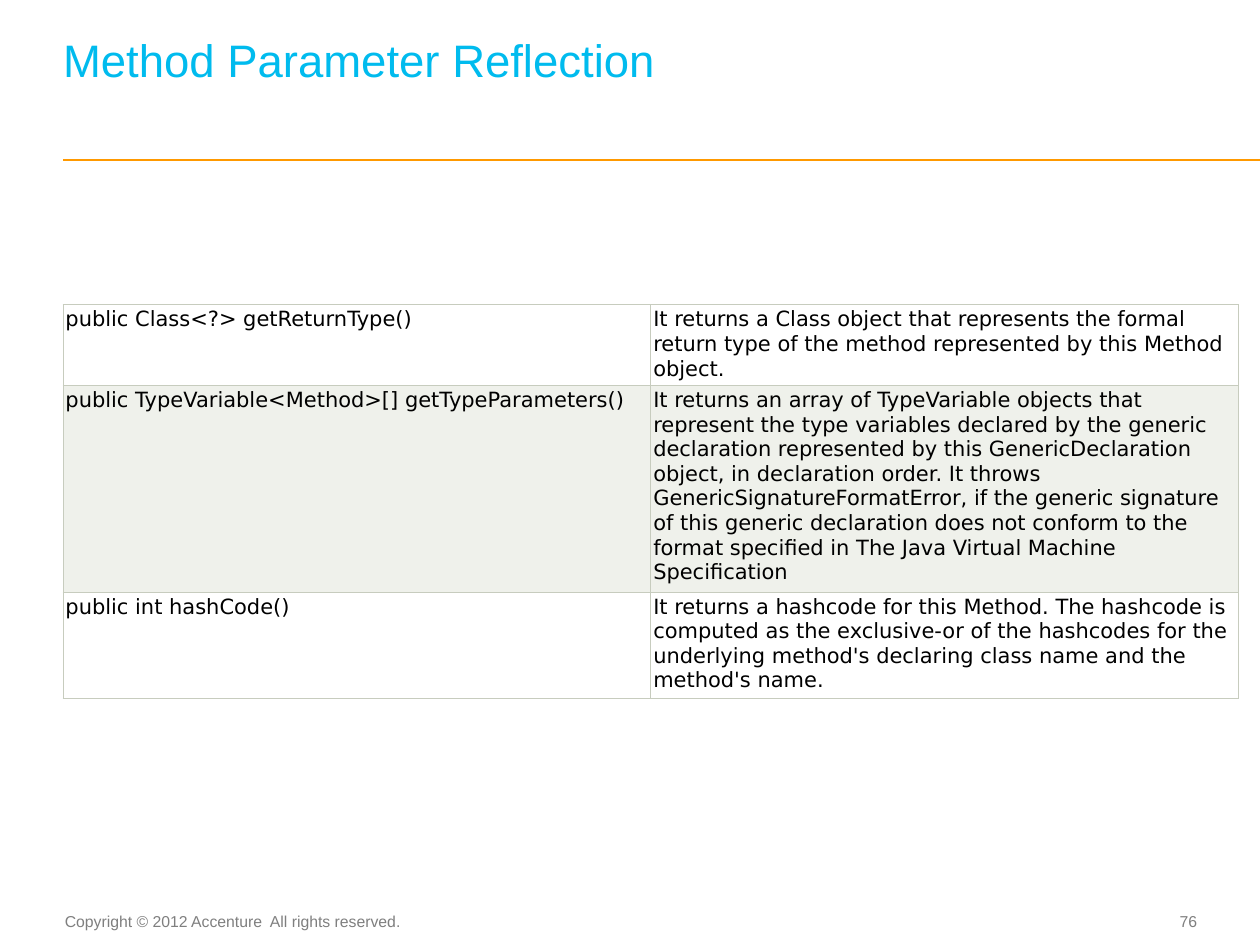
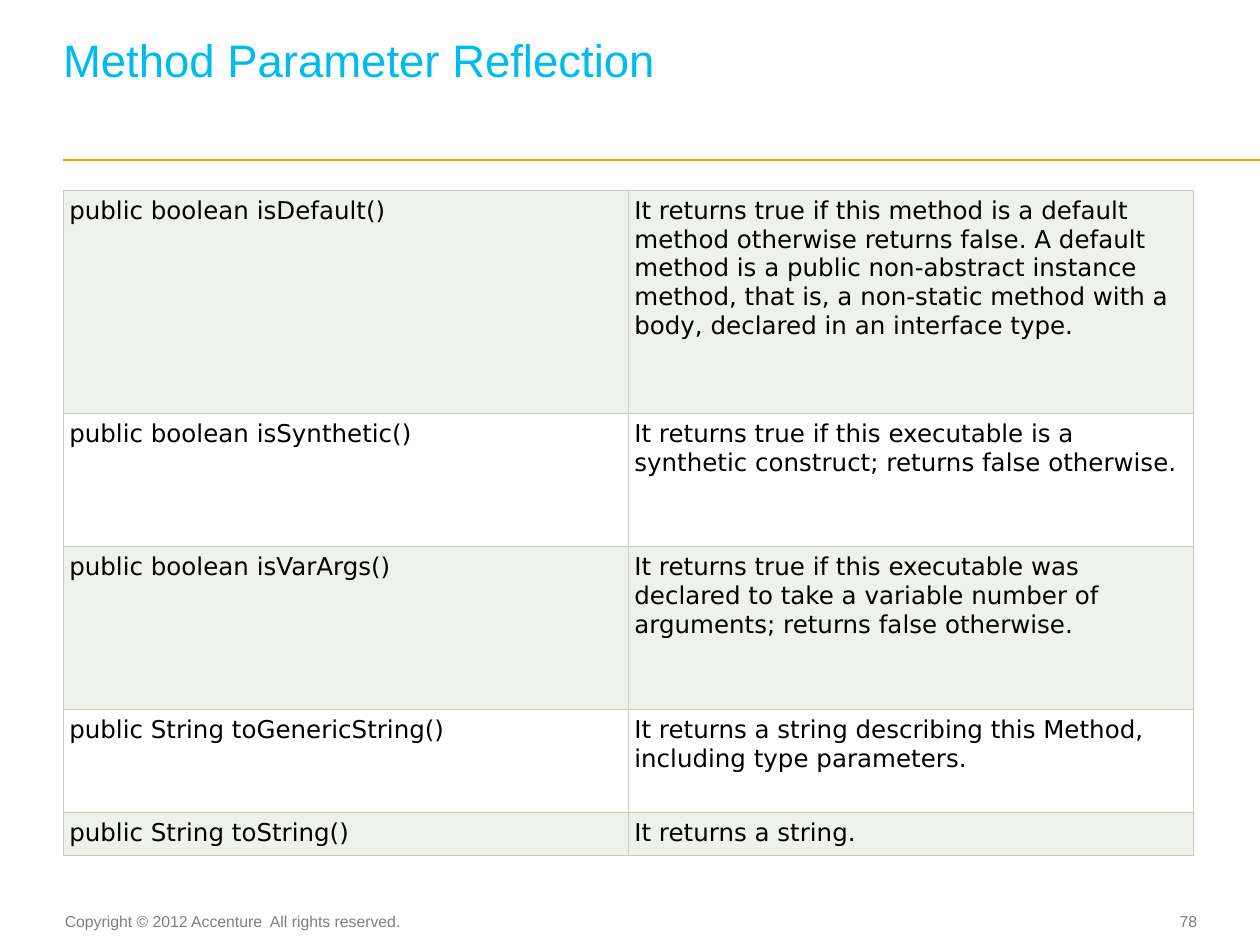
from dataclasses import dataclass
from typing import NamedTuple

from lxml.etree import SubElement
from pptx import Presentation
from pptx.dml.color import RGBColor
from pptx.enum.shapes import MSO_CONNECTOR
from pptx.enum.text import MSO_ANCHOR, MSO_AUTO_SIZE, PP_ALIGN
from pptx.oxml.ns import qn
from pptx.presentation import Presentation as Deck
from pptx.slide import Slide
from pptx.table import _Cell
from pptx.text.text import TextFrame, _Paragraph
from pptx.util import Inches, Length, Pt

SLIDE_WIDTH, SLIDE_HEIGHT = Inches(10), Inches(7.5)
GRID_COLUMNS, GRID_ROWS = 40, 30
MARGIN = 2  # grid columns
RULE_ROW = 5.08
TITLE_ONLY_LAYOUT = 5


class TextStyle(NamedTuple):
    font: str
    size: float
    color: str


@dataclass(frozen=True)
class Theme:
    title: TextStyle = TextStyle("Arial", 26, "00BBEE")
    footer: TextStyle = TextStyle("Arial", 9, "7F7F7F")
    table_font: str = "DejaVu Sans"
    table_text: str = "000000"
    rule: str = "FF9900"
    rule_width: float = 1
    border: str = "C7CCBE"
    border_width: float = 0.6
    plain_row: str = "FFFFFF"
    tinted_row: str = "EFF1EB"


THEME = Theme()


class Area(NamedTuple):
    """A rectangle in grid columns and rows."""
    left: float
    top: float
    width: float
    height: float

    def lengths(self) -> tuple[Length, Length, Length, Length]:
        return across(self.left), down(self.top), across(self.width), down(self.height)


class Insets(NamedTuple):
    """Text margins in inches."""
    left: float = 0
    top: float = 0
    right: float = 0
    bottom: float = 0


@dataclass(frozen=True)
class FooterText:
    area: Area
    insets: Insets
    alignment: PP_ALIGN
    anchor: MSO_ANCHOR


COPYRIGHT = FooterText(Area(1.96, 28.76, 11.24, 1), Insets(0, 0.05, 0.1, 0.05),
                       PP_ALIGN.CENTER, MSO_ANCHOR.TOP)
PAGE_NUMBER = FooterText(Area(35.64, 28.72, 2.36, 1.08), Insets(),
                         PP_ALIGN.RIGHT, MSO_ANCHOR.MIDDLE)
TITLE_AREA = Area(MARGIN, 0.76, 35.88, 3.44)
# One empty title line is kept free under the heading.
TITLE_INSETS = Insets(bottom=0.36)


class MethodRow(NamedTuple):
    signature: str
    description: str
    height: float  # grid rows


@dataclass(frozen=True)
class MethodSlide:
    page: int
    top: float
    width: float
    text_size: float
    padding: float
    tinted_first: bool
    rows: list[MethodRow]


METHOD_SLIDES = [
    MethodSlide(76, 9.68, 37.32, 12, 0.02, False, [
        MethodRow("public Class<?> getReturnType()",
                  "It returns a Class object that represents the formal return type of "
                  "the method represented by this Method object.", 2.52),
        MethodRow("public TypeVariable<Method>[] getTypeParameters()",
                  "It returns an array of TypeVariable objects that represent the type "
                  "variables declared by the generic declaration represented by this "
                  "GenericDeclaration object, in declaration order. It throws "
                  "GenericSignatureFormatError, if the generic signature of this generic "
                  "declaration does not conform to the format specified in The Java "
                  "Virtual Machine Specification", 6.4),
        MethodRow("public int hashCode()",
                  "It returns a hashcode for this Method. The hashcode is computed as the "
                  "exclusive-or of the hashcodes for the underlying method's declaring "
                  "class name and the method's name.", 3.32),
    ]),
    MethodSlide(78, 6.04, 35.88, 14, 0.05, True, [
        MethodRow("public boolean isDefault()",
                  "It returns true if this method is a default method otherwise returns "
                  "false. A default method is a public non-abstract instance method, that "
                  "is, a non-static method with a body, declared in an interface type.", 7.08),
        MethodRow("public boolean isSynthetic()",
                  "It returns true if this executable is a synthetic construct; returns "
                  "false otherwise.", 4.24),
        MethodRow("public boolean isVarArgs()",
                  "It returns true if this executable was declared to take a variable "
                  "number of arguments; returns false otherwise.", 5.16),
        MethodRow("public String toGenericString()",
                  "It returns a string describing this Method, including type "
                  "parameters.", 3.28),
        MethodRow("public String toString()", "It returns a string.", 1.36),
    ]),
]


def across(columns: float) -> Length:
    return Length(round(SLIDE_WIDTH * columns / GRID_COLUMNS))


def down(rows: float) -> Length:
    return Length(round(SLIDE_HEIGHT * rows / GRID_ROWS))


def set_insets(target: TextFrame | _Cell, insets: Insets) -> None:
    target.margin_left, target.margin_top, target.margin_right, target.margin_bottom = (
        Inches(inset) for inset in insets)


def add_run(paragraph: _Paragraph, text: str, style: TextStyle) -> None:
    run = paragraph.add_run()
    run.text = text
    run.font.name = style.font
    run.font.size = Pt(style.size)
    run.font.color.rgb = RGBColor.from_string(style.color)


def fill_title(slide: Slide, text: str) -> None:
    title = slide.shapes.title
    title.left, title.top, title.width, title.height = TITLE_AREA.lengths()
    frame = title.text_frame
    frame.auto_size = MSO_AUTO_SIZE.NONE
    frame.word_wrap = True
    frame.vertical_anchor = MSO_ANCHOR.BOTTOM
    set_insets(frame, TITLE_INSETS)
    paragraph = frame.paragraphs[0]
    paragraph.alignment = PP_ALIGN.LEFT
    paragraph.line_spacing = Pt(THEME.title.size)
    add_run(paragraph, text, THEME.title)


def add_rule(slide: Slide) -> None:
    """Draw the line under the title, out to the right edge."""
    rule = slide.shapes.add_connector(MSO_CONNECTOR.STRAIGHT, across(MARGIN), down(RULE_ROW),
                                      SLIDE_WIDTH, down(RULE_ROW))
    rule.line.color.rgb = RGBColor.from_string(THEME.rule)
    rule.line.width = Pt(THEME.rule_width)
    SubElement(rule._element.spPr, qn("a:effectLst"))


def add_footer_text(slide: Slide, footer: FooterText, text: str) -> None:
    frame = slide.shapes.add_textbox(*footer.area.lengths()).text_frame
    frame.word_wrap = True
    frame.vertical_anchor = footer.anchor
    set_insets(frame, footer.insets)
    paragraph = frame.paragraphs[0]
    paragraph.alignment = footer.alignment
    add_run(paragraph, text, THEME.footer)


def add_borders(cell: _Cell) -> None:
    properties = cell._tc.get_or_add_tcPr()
    for side in ("a:lnL", "a:lnR", "a:lnT", "a:lnB"):
        border = SubElement(properties, qn(side), w=str(int(Pt(THEME.border_width))))
        fill = SubElement(border, qn("a:solidFill"))
        SubElement(fill, qn("a:srgbClr"), val=THEME.border)


def fill_cell(cell: _Cell, text: str, style: TextStyle, padding: float, color: str) -> None:
    add_borders(cell)
    cell.fill.solid()
    cell.fill.fore_color.rgb = RGBColor.from_string(color)
    cell.vertical_anchor = MSO_ANCHOR.TOP
    set_insets(cell, Insets(padding, padding, padding, padding))
    add_run(cell.text_frame.paragraphs[0], text, style)


def add_method_table(slide: Slide, content: MethodSlide) -> None:
    area = Area(MARGIN, content.top, content.width, sum(row.height for row in content.rows))
    table = slide.shapes.add_table(len(content.rows), 2, *area.lengths()).table
    table.first_row = table.horz_banding = False
    style = TextStyle(THEME.table_font, content.text_size, THEME.table_text)
    for index, method in enumerate(content.rows):
        table.rows[index].height = down(method.height)
        tinted = (index % 2 == 0) == content.tinted_first
        color = THEME.tinted_row if tinted else THEME.plain_row
        for column, text in enumerate((method.signature, method.description)):
            fill_cell(table.cell(index, column), text, style, content.padding, color)


def add_method_slide(presentation: Deck, content: MethodSlide) -> None:
    slide = presentation.slides.add_slide(presentation.slide_layouts[TITLE_ONLY_LAYOUT])
    add_rule(slide)
    add_footer_text(slide, COPYRIGHT, "Copyright © 2012 Accenture  All rights reserved.")
    add_footer_text(slide, PAGE_NUMBER, str(content.page))
    fill_title(slide, "Method Parameter Reflection")
    add_method_table(slide, content)


def main() -> None:
    presentation = Presentation()
    presentation.slide_width, presentation.slide_height = SLIDE_WIDTH, SLIDE_HEIGHT
    for content in METHOD_SLIDES:
        add_method_slide(presentation, content)
    presentation.save("out.pptx")


if __name__ == "__main__":
    main()
